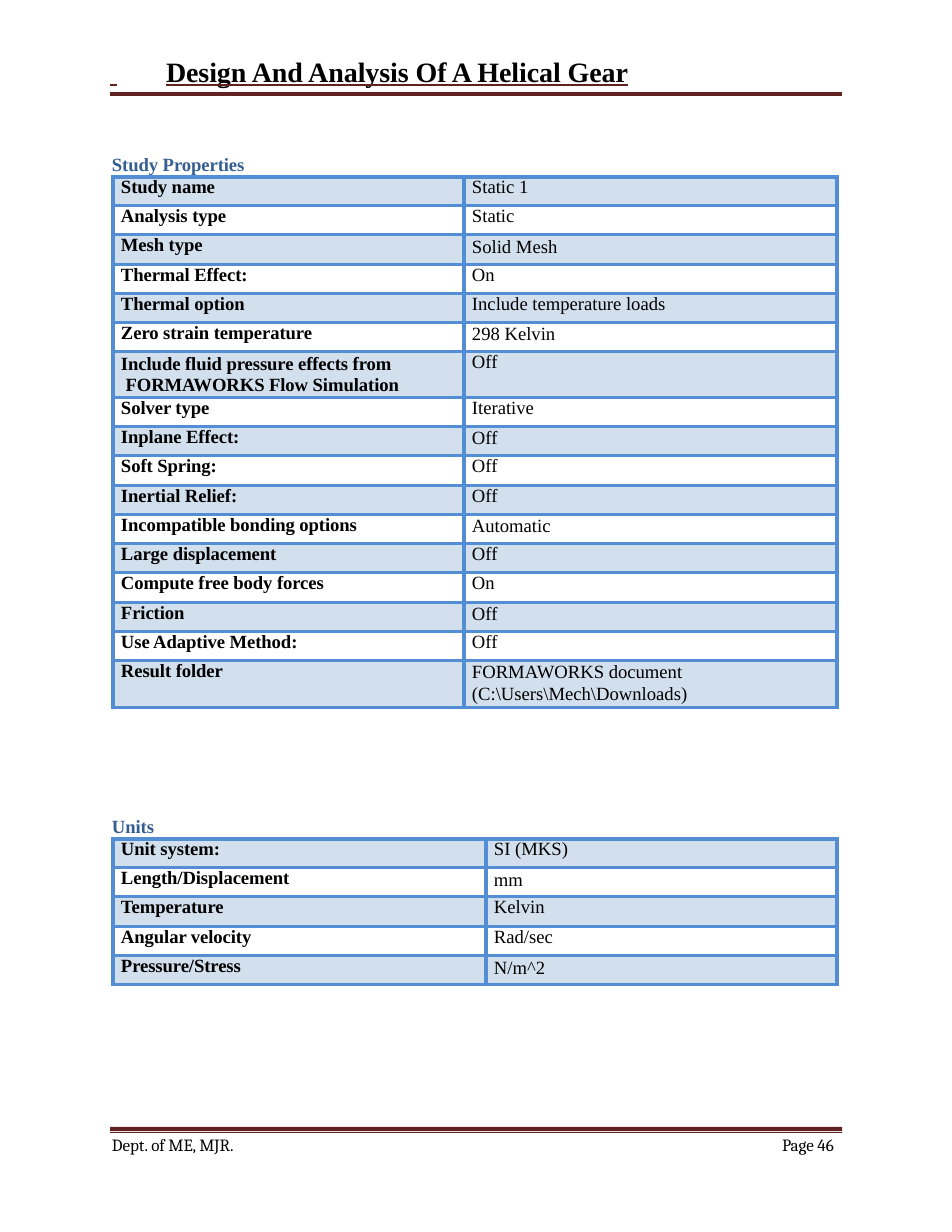
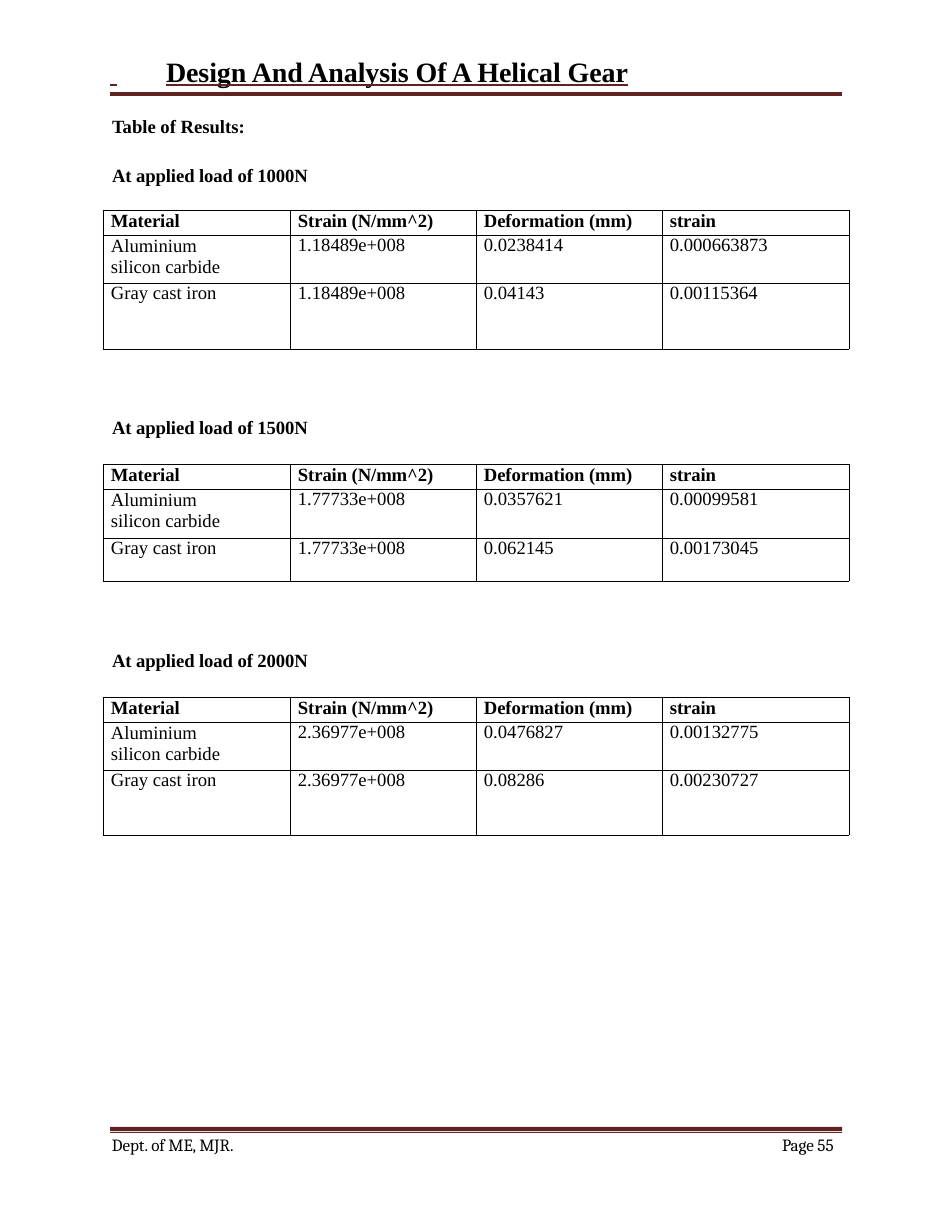
from dataclasses import dataclass, replace

from lxml.etree import SubElement
from pptx import Presentation
from pptx.dml.color import RGBColor
from pptx.enum.text import MSO_ANCHOR, MSO_AUTO_SIZE, PP_ALIGN
from pptx.oxml.ns import qn
from pptx.util import Pt

SCALE = 914400 / 112  # EMU in one px


# Theme
@dataclass(frozen=True)
class TextStyle:
    size: float
    color: str = "000000"
    bold: bool = False
    font: str = "Times New Roman"
    tracking: int = 0  # hundredths of a point


@dataclass(frozen=True)
class Theme:
    rule: str = "612322"
    grid: str = "538DD3"
    band: str = "D2DFED"
    black: str = "000000"
    title: TextStyle = TextStyle(18, bold=True, tracking=-5)
    heading: TextStyle = TextStyle(12, "365F91", True, tracking=-5)
    label: TextStyle = TextStyle(12, bold=True, tracking=-5)
    value: TextStyle = TextStyle(12)
    footer: TextStyle = TextStyle(11, font="Cambria", tracking=-5)


THEME = Theme()
RULE_LEFT, RULE_RIGHT = 110, 842
TEXT_LEFT = 111

# Content
STUDY_PROPERTIES = [
    ("Study name", "Static 1"),
    ("Analysis type", "Static"),
    ("Mesh type", "Solid Mesh"),
    ("Thermal Effect:", "On"),
    ("Thermal option", "Include temperature loads"),
    ("Zero strain temperature", "298 Kelvin"),
    ("Include fluid pressure effects from\v FORMAWORKS Flow Simulation", "Off"),
    ("Solver type", "Iterative"),
    ("Inplane Effect:", "Off"),
    ("Soft Spring:", "Off"),
    ("Inertial Relief:", "Off"),
    ("Incompatible bonding options", "Automatic"),
    ("Large displacement", "Off"),
    ("Compute free body forces", "On"),
    ("Friction", "Off"),
    ("Use Adaptive Method:", "Off"),
    ("Result folder", "FORMAWORKS document\v(C:\\Users\\Mech\\Downloads)"),
]
UNITS = [
    ("Unit system:", "SI (MKS)"),
    ("Length/Displacement", "mm"),
    ("Temperature", "Kelvin"),
    ("Angular velocity", "Rad/sec"),
    ("Pressure/Stress", "N/m^2"),
]
RESULT_HEADER = ("Material", "Strain (N/mm^2)", "Deformation (mm)", "strain")
MATERIALS = ("Aluminium\vsilicon carbide", "Gray cast iron")
# load, table top, row heights, values for each material
RESULTS = [
    ("1000N", 210, (25, 48, 66),
     [("1.18489e+008", "0.0238414", "0.000663873"),
      ("1.18489e+008", "0.04143", "0.00115364")]),
    ("1500N", 464, (25, 49, 43),
     [("1.77733e+008", "0.0357621", "0.00099581"),
      ("1.77733e+008", "0.062145", "0.00173045")]),
    ("2000N", 697, (25, 48, 65),
     [("2.36977e+008", "0.0476827", "0.00132775"),
      ("2.36977e+008", "0.08286", "0.00230727")]),
]


# Helpers
def px(length):
    return round(length * SCALE)


def spread(total, count):
    """Split a length into whole parts that differ by one px at most."""
    edges = [round(total * i / count) for i in range(count + 1)]
    return [end - start for start, end in zip(edges, edges[1:])]


def add_run(paragraph, text, style):
    run = paragraph.add_run()
    run.text = text
    run.font.name = style.font
    run.font.size = Pt(style.size)
    run.font.bold = style.bold
    run.font.color.rgb = RGBColor.from_string(style.color)
    if style.tracking:
        run.font._element.set("spc", str(style.tracking))
    return run


def write_paragraph(paragraph, runs, style, indent=1, before=0, line=None):
    properties = paragraph._p.get_or_add_pPr()
    properties.set("marL", str(px(indent)))
    properties.set("indent", "0")
    paragraph.alignment = PP_ALIGN.LEFT
    paragraph.space_before = Pt(before)
    if line:
        paragraph.line_spacing = Pt(line)
    for text in runs:
        for number, part in enumerate(text.split("\v")):
            if number:
                paragraph.add_line_break()
            add_run(paragraph, part, style)


def prepare_frame(text_frame):
    text_frame.word_wrap = True
    text_frame.auto_size = MSO_AUTO_SIZE.SHAPE_TO_FIT_TEXT
    text_frame.vertical_anchor = MSO_ANCHOR.TOP
    text_frame.margin_left = text_frame.margin_right = text_frame.margin_bottom = 0
    text_frame.margin_top = px(1)


def add_text(slide, left, top, width, height, runs, style, before=1):
    box = slide.shapes.add_textbox(px(left), px(top), px(width), px(height))
    prepare_frame(box.text_frame)
    write_paragraph(box.text_frame.paragraphs[0], runs, style, before=before)
    return box


def add_rule(slide, *bands):
    """Draw one shape from horizontal bands given as (top, bottom)."""
    builder = None
    for top, bottom in bands:
        if builder is None:
            builder = slide.shapes.build_freeform(RULE_RIGHT, top, scale=SCALE)
        else:
            builder.move_to(RULE_RIGHT, top)
        builder.add_line_segments(
            [(RULE_LEFT, top), (RULE_LEFT, bottom), (RULE_RIGHT, bottom)], close=True)
    shape = builder.convert_to_shape()
    shape.shadow.inherit = False
    shape.fill.solid()
    shape.fill.fore_color.rgb = RGBColor.from_string(THEME.rule)
    shape.line.fill.background()


def add_borders(cell, color, width):
    properties = cell._tc.get_or_add_tcPr()
    for side in ("lnL", "lnR", "lnT", "lnB"):
        line = SubElement(properties, qn(f"a:{side}"), w=str(Pt(width)))
        fill = SubElement(line, qn("a:solidFill"))
        SubElement(fill, qn("a:srgbClr"), val=color)


def add_grid(slide, left, top, columns, rows, border):
    """Add a bordered, unfilled table."""
    frame = slide.shapes.add_table(
        len(rows), len(columns), px(left), px(top), px(sum(columns)), px(sum(rows)))
    table = frame.table
    table.first_row = table.horz_banding = False
    for column, width in zip(table.columns, columns):
        column.width = px(width)
    for row, height in zip(table.rows, rows):
        row.height = px(height)
    for cell in table.iter_cells():
        cell.margin_left = cell.margin_right = cell.margin_top = cell.margin_bottom = 0
        add_borders(cell, *border)
        cell.fill.background()
    return table


def add_property_table(slide, top, columns, rows, content, low_row):
    """Label and value pairs; every third row from low_row sits lower."""
    table = add_grid(slide, 113, top, columns, rows, (THEME.grid, 2.25))
    for number, pair in enumerate(content):
        low = number % 3 == low_row
        looks = ((THEME.label, 0.1 if low else 0.2, None),
                 (THEME.value, 0, 14.3 if low else None))
        for column, (text, (style, before, line)) in enumerate(zip(pair, looks)):
            cell = table.cell(number, column)
            if "\v" in text:
                before, line = 1, 13.8
                cell.margin_top = px(1)
            if number % 2 == 0:
                cell.fill.solid()
                cell.fill.fore_color.rgb = RGBColor.from_string(THEME.band)
            write_paragraph(cell.text_frame.paragraphs[0], [text], style, 8, before, line)


def add_result_table(slide, top, rows, values):
    table = add_grid(slide, 103, top, (187, 186, 186, 187), rows, (THEME.black, 0.5))
    content = [RESULT_HEADER]
    content += [(name, *numbers) for name, numbers in zip(MATERIALS, values)]
    for row, texts in enumerate(content):
        for column, text in enumerate(texts):
            style, line = (THEME.value, 13.4) if row else (THEME.label, 13.7)
            if "\v" in text:
                line = 13.8
            paragraph = table.cell(row, column).text_frame.paragraphs[0]
            write_paragraph(paragraph, [text], style, 8, line=line)


def format_title(title):
    title.left, title.top, title.width, title.height = px(109), px(53), px(736), px(37)
    prepare_frame(title.text_frame)
    paragraph = title.text_frame.paragraphs[0]
    write_paragraph(paragraph, [" \t", "Design And Analysis Of A Helical Gear", "\t"],
                    THEME.title, before=1)
    stops = SubElement(paragraph._p.get_or_add_pPr(), qn("a:tabLst"))
    for position in (132, 734):
        SubElement(stops, qn("a:tab"), pos=str(px(position)), algn="l")
    for run in paragraph.runs:
        run.font.underline = True
        underline = SubElement(SubElement(run.font._element, qn("a:uFill")),
                               qn("a:solidFill"))
        SubElement(underline, qn("a:srgbClr"), val=THEME.rule)
        # Underline fill comes before the typeface
        run.font._element.find(qn("a:latin")).addprevious(underline.getparent())


def add_page(presentation, number):
    slide = presentation.slides.add_slide(presentation.slide_layouts[5])
    format_title(slide.shapes.title)
    add_rule(slide, (92, 96))
    add_rule(slide, (1127, 1131), (1132, 1133))
    add_text(slide, TEXT_LEFT, 1133, 130, 24, ["Dept. of ", "ME, MJR."],
             THEME.footer, before=0.5)
    add_text(slide, 781, 1133, 64, 24, ["Page ", str(number)], THEME.footer, before=0.5)
    return slide


# Pages
def build_study_page(presentation):
    slide = add_page(presentation, 46)
    add_text(slide, TEXT_LEFT, 152, 138, 26, ["Study Properties"], THEME.heading)
    study_rows = spread(175, 6) + [46] + spread(263, 9) + [47]
    add_property_table(slide, 177, (351, 373), study_rows, STUDY_PROPERTIES, 2)
    add_text(slide, TEXT_LEFT, 814, 50, 26, ["Units"], THEME.heading)
    add_property_table(slide, 839, (373, 351), spread(146, 5), UNITS, 1)


def build_results_page(presentation):
    slide = add_page(presentation, 55)
    plain = replace(THEME.label, tracking=0)
    for number, (load, top, rows, values) in enumerate(RESULTS):
        caption = ["At applied ", "load ", f"of {load}"]
        if number == 0:
            box = add_text(slide, TEXT_LEFT, 114, 202, 72,
                           ["Table of ", "Results:"], plain)
            write_paragraph(box.text_frame.add_paragraph(), caption, THEME.label,
                            before=17)
        else:
            add_text(slide, TEXT_LEFT, top - 49, 202, 26, caption, THEME.label)
        add_result_table(slide, top, rows, values)


def main():
    presentation = Presentation()
    presentation.slide_width, presentation.slide_height = px(952), px(1232)
    build_study_page(presentation)
    build_results_page(presentation)
    presentation.save("out.pptx")


if __name__ == "__main__":
    main()
